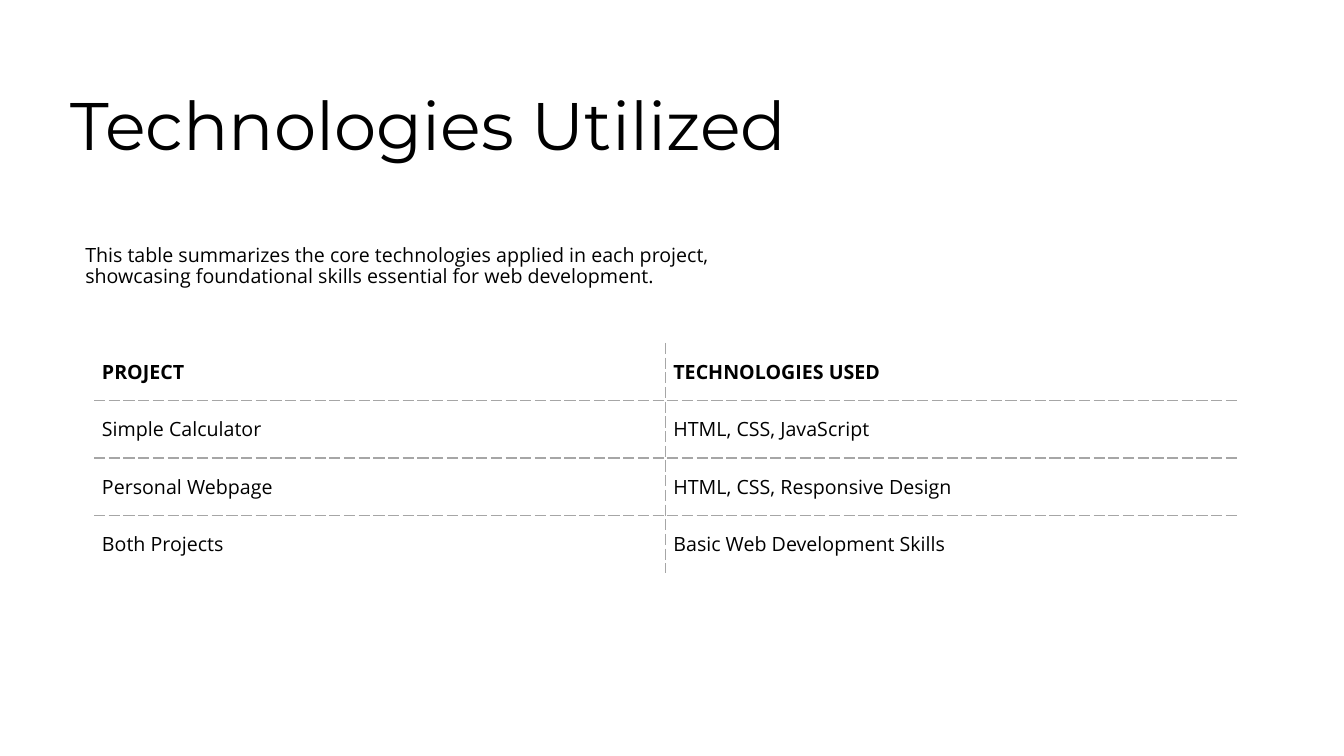
from lxml.etree import SubElement
from pptx import Presentation
from pptx.dml.color import RGBColor
from pptx.enum.text import MSO_ANCHOR, MSO_AUTO_SIZE, PP_ALIGN
from pptx.oxml.ns import qn
from pptx.util import Cm, Pt

TITLE = "Technologies Utilized"
SUMMARY = (
    "This table summarizes the core technologies applied in each project, "
    "showcasing foundational skills essential for web development."
)
PROJECTS = [
    ("PROJECT", "TECHNOLOGIES USED"),
    ("Simple Calculator", "HTML, CSS, JavaScript"),
    ("Personal Webpage", "HTML, CSS, Responsive Design"),
    ("Both Projects", "Basic Web Development Skills"),
]
COLORS = {"text": "000000", "rule": "A6A6A6"}
HEADING_FONT, BODY_FONT = "Montserrat", "Open Sans"
COLUMN_WIDTH, ROW_HEIGHT, CELL_MARGIN = 14.4, 1.45, 0.2


def style(paragraph, font_name, size, bold=False):
    paragraph.alignment = PP_ALIGN.LEFT
    font = paragraph.font
    font.name, font.size, font.bold = font_name, Pt(size), bold
    font.color.rgb = RGBColor.from_string(COLORS["text"])


def set_borders(cell, inner_sides):
    properties = cell._tc.get_or_add_tcPr()
    for position, side in enumerate("LRTB"):
        line = SubElement(properties, qn(f"a:ln{side}"), w=str(Pt(1)))
        properties.insert(position, line)
        if side in inner_sides:
            fill = SubElement(line, qn("a:solidFill"))
            SubElement(fill, qn("a:srgbClr"), val=COLORS["rule"])
            SubElement(line, qn("a:prstDash"), val="sysDash")
        else:
            SubElement(line, qn("a:noFill"))


def add_projects(slide):
    row_count, column_count = len(PROJECTS), len(PROJECTS[0])
    projects = slide.shapes.add_table(
        row_count, column_count, Cm(2.37), Cm(8.64),
        Cm(COLUMN_WIDTH * column_count), Cm(ROW_HEIGHT * row_count),
    ).table
    projects.first_row = projects.horz_banding = False
    for r, row in enumerate(PROJECTS):
        for c, entry in enumerate(row):
            cell = projects.cell(r, c)
            cell.text = entry
            cell.vertical_anchor = MSO_ANCHOR.MIDDLE
            cell.margin_left = cell.margin_right = Cm(CELL_MARGIN)
            cell.margin_top = cell.margin_bottom = Cm(CELL_MARGIN)
            cell.fill.background()
            style(cell.text_frame.paragraphs[0], BODY_FONT, 14, bold=r == 0)
            inner = {"L": c > 0, "R": c < column_count - 1,
                     "T": r > 0, "B": r < row_count - 1}
            set_borders(cell, [side for side in inner if inner[side]])


def main():
    deck = Presentation()
    deck.slide_width, deck.slide_height = Cm(33.87), Cm(19.05)
    slide = deck.slides.add_slide(deck.slide_layouts[5])

    title = slide.shapes.title
    title.left, title.top, title.width, title.height = Cm(1.52), Cm(1.98), Cm(29), Cm(3.66)
    title.text_frame.text = TITLE
    title.text_frame.auto_size = MSO_AUTO_SIZE.NONE
    title.text_frame.vertical_anchor = MSO_ANCHOR.TOP
    style(title.text_frame.paragraphs[0], HEADING_FONT, 48)

    summary = slide.shapes.add_textbox(Cm(1.9), Cm(5.64), Cm(16.76), Cm(2.18)).text_frame
    summary.word_wrap = True
    summary.vertical_anchor = MSO_ANCHOR.MIDDLE
    summary.text = SUMMARY
    summary.paragraphs[0].line_spacing = 0.9
    style(summary.paragraphs[0], BODY_FONT, 14)

    add_projects(slide)
    deck.save("out.pptx")


if __name__ == "__main__":
    main()
